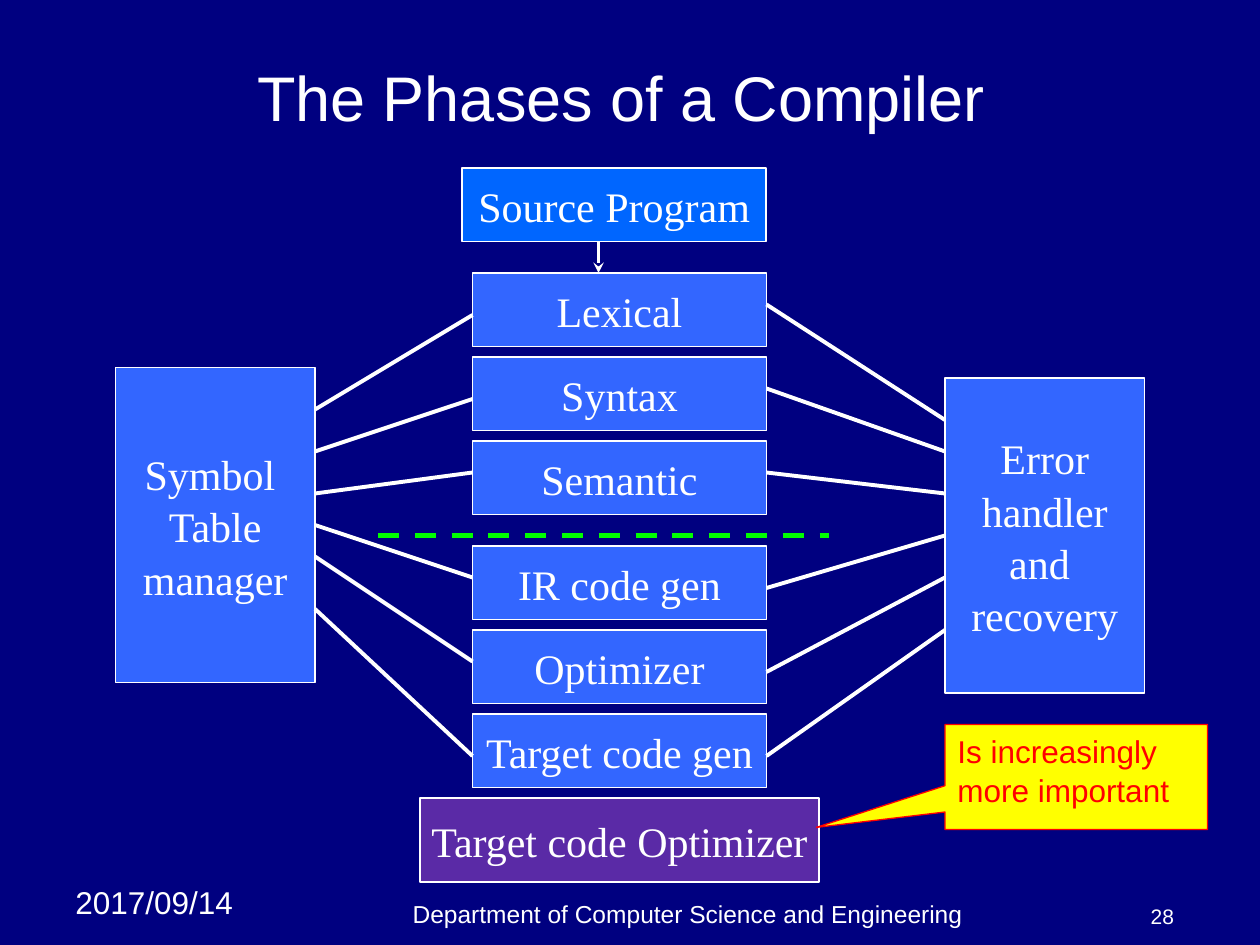
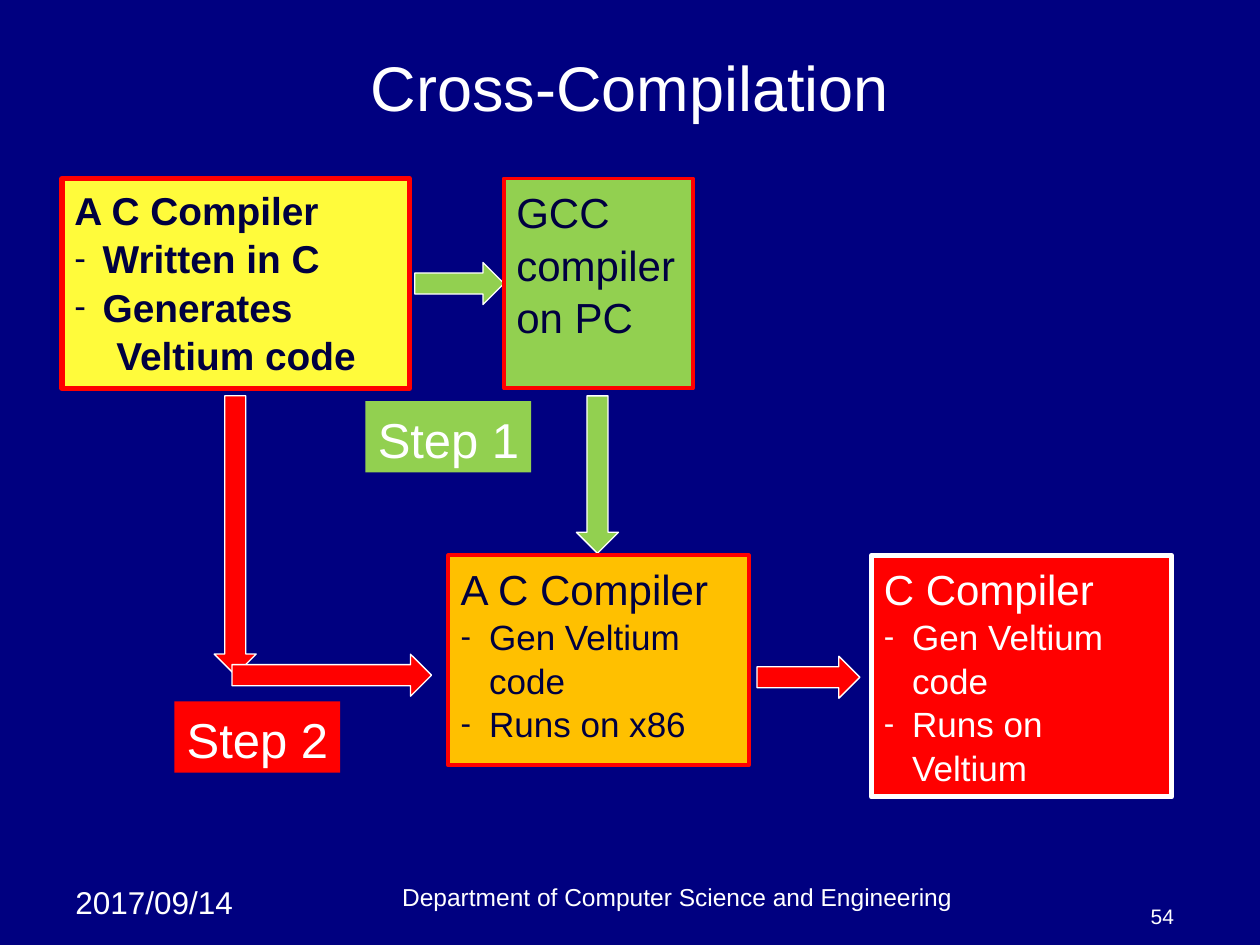
from collections import namedtuple

from lxml.etree import SubElement
from pptx import Presentation
from pptx.dml.color import RGBColor
from pptx.enum.dml import MSO_LINE_DASH_STYLE as Dash
from pptx.enum.shapes import MSO_CONNECTOR as Connector, MSO_SHAPE as Shape
from pptx.enum.text import MSO_ANCHOR as Anchor, MSO_AUTO_SIZE as AutoSize, PP_ALIGN as Align
from pptx.oxml.ns import qn
from pptx.util import Pt

EMU_PER_PX = 7620
TITLE_ONLY = 5
COLOURS = {
    "navy": "000080", "ink": "000040", "white": "FFFFFF", "blue": "3366FF",
    "bright blue": "0066FF", "purple": "5A2AA6", "lime": "00FF00",
    "yellow": "FFFF00", "lemon": "FFFB3B", "red": "FF0000",
    "green": "92D050", "orange": "FFC000",
}
SANS, SERIF = "Arial", "Times New Roman"
INDENTS = {"plain": (0, 0), "bullet": (27, -27), "inset": (40, 0)}
Line = namedtuple("Line", "text kind size", defaults=("plain", None))


def px(length):
    return length * EMU_PER_PX


def colour(name):
    return RGBColor.from_string(COLOURS[name])


def apply(target, formats):
    for name, value in formats.items():
        setattr(target, name, value)


class Painter:
    """Draws elements in the deck's style on the current page."""

    def __init__(self):
        self.deck = Presentation()
        apply(self.deck, {"slide_width": px(1200), "slide_height": px(900)})
        self.page = None

    def start_page(self, title, title_area, number, footer_area):
        self.page = self.deck.slides.add_slide(self.deck.slide_layouts[TITLE_ONLY])
        background = self.page.background.fill
        background.solid()
        background.fore_color.rgb = colour("navy")
        self.text((60, 834, 190, 48), "2017/09/14", size=18)
        self.text(footer_area, "Department of Computer Science and Engineering",
                  size=14, align=Align.CENTER, anchor=Anchor.BOTTOM)
        self.text((1050, 850, 80, 40), number, size=12,
                  align=Align.RIGHT, anchor=Anchor.BOTTOM)
        heading = self.page.shapes.title
        places = map(px, title_area)
        apply(heading, dict(zip(("left", "top", "width", "height"), places)))
        self.set_lines(heading, [title], size=36, align=Align.CENTER, anchor=Anchor.MIDDLE)

    def set_lines(self, box, lines, size=24, font=SANS, ink="white", bold=False,
                  align=Align.LEFT, anchor=Anchor.TOP, wrap=True):
        frame = box.text_frame
        apply(frame, {"word_wrap": wrap, "vertical_anchor": anchor,
                      "auto_size": AutoSize.NONE})
        for index, line in enumerate(lines):
            if isinstance(line, str):
                line = Line(line)
            para = frame.add_paragraph() if index else frame.paragraphs[0]
            apply(para, {"alignment": align, "line_spacing": 1.04})
            self.indent(para, line.kind, ink)
            span = para.add_run()
            span.text = line.text
            apply(span.font, {"size": Pt(line.size or size), "name": font, "bold": bold})
            span.font.color.rgb = colour(ink)

    def indent(self, para, kind, ink):
        if kind == "plain":
            return
        properties = para._p.get_or_add_pPr()
        margin, first = INDENTS[kind]
        properties.set("marL", str(px(margin)))
        properties.set("indent", str(px(first)))
        if kind == "bullet":
            tint = SubElement(properties, qn("a:buClr"))
            SubElement(tint, qn("a:srgbClr"), val=COLOURS[ink])
            SubElement(properties, qn("a:buSzPct"), val="90000")
            SubElement(properties, qn("a:buFont"), typeface=SANS)
            SubElement(properties, qn("a:buChar"), char="-")

    def text(self, area, words, **style):
        box = self.page.shapes.add_textbox(*map(px, area))
        self.set_lines(box, [words], **style)

    def shape(self, area, fill, border="white", weight=1.0, preset=Shape.RECTANGLE,
              lines=(), **style):
        box = self.page.shapes.add_shape(preset, *map(px, area))
        box.shadow.inherit = False
        box.fill.solid()
        box.fill.fore_color.rgb = colour(fill)
        if border:
            box.line.color.rgb = colour(border)
            box.line.width = Pt(weight)
        else:
            box.line.fill.background()
        if lines:
            self.set_lines(box, lines, **style)
        return box

    def phase_box(self, area, *lines, fill="blue"):
        return self.shape(area, fill, lines=lines, font=SERIF, align=Align.CENTER,
                          anchor=Anchor.MIDDLE, wrap=False)

    def block_arrow(self, area, fill, turn=0):
        arrow = self.shape(area, fill, weight=0.75, preset=Shape.RIGHT_ARROW)
        arrow.rotation = turn

    def step_label(self, area, words, fill):
        self.shape(area, fill, border=None, lines=[words], size=28, wrap=False)

    def line(self, start, end, ink="white", weight=2.25, dash=None, head=None, near=()):
        """Draw a line, joined to each near box whose side it meets in the middle."""
        start, end = tuple(map(px, start)), tuple(map(px, end))
        link = self.page.shapes.add_connector(Connector.STRAIGHT, *start, *end)
        link.line.color.rgb = colour(ink)
        apply(link.line, {"width": Pt(weight), "dash_style": dash})
        if head:
            SubElement(link.line._get_or_add_ln(), qn("a:tailEnd"), type=head)
        SubElement(link._element.spPr, qn("a:effectLst"))
        for box in near:
            middle = box.top + box.height // 2
            for site, side in ((1, box.left), (3, box.left + box.width)):
                if start == (side, middle):
                    link.begin_connect(box, site)
                if end == (side, middle):
                    link.end_connect(box, site)


def draw_phases(painter):
    painter.start_page("The Phases of a Compiler ", (90, 40, 1020, 100), "28",
                       (250, 850, 810, 40))
    phase_left, phase_width, pitch = 450, 280, 80
    phase_right = phase_left + phase_width
    groups = {260: ("Lexical", "Syntax", "Semantic"),
              520: ("IR code gen", "Optimizer", "Target code gen")}
    phases = [
        painter.phase_box((phase_left, top + row * pitch, phase_width, 70), name)
        for top, names in groups.items() for row, name in enumerate(names)
    ]
    painter.phase_box((440, 160, 290, 70), "Source Program", fill="bright blue")
    painter.line((360, 510), (790, 510), ink="lime", weight=3, dash=Dash.DASH)
    symbols = painter.phase_box((110, 350, 190, 300), "Symbol ", "Table", "manager")
    errors = painter.phase_box((900, 360, 190, 300),
                               "Error", "handler", "and ", "recovery")

    symbol_links = ((390, 300), (430, 380), (470, 450),
                    (500, 550), (530, 630), (580, 720))
    error_links = ((290, 400), (370, 430), (450, 470),
                   (560, 510), (640, 550), (720, 600))
    for links, left, right, manager in ((symbol_links, 300, phase_left, symbols),
                                        (error_links, phase_right, 900, errors)):
        for phase, (left_y, right_y) in zip(phases, links):
            painter.line((left, left_y), (right, right_y), near=(manager, phase))

    painter.phase_box((400, 760, 380, 80), "Target code Optimizer", fill="purple")
    painter.line((570, 230), (570, 260), weight=2, head="stealth")
    callout = painter.shape((900, 690, 250, 100), "yellow", "red", 0.75,
                            Shape.RECTANGULAR_CALLOUT,
                            ["Is increasingly more important"], size=18, ink="red")
    callout.adjustments[0], callout.adjustments[1] = -0.99, 0.48


def draw_cross_compilation(painter):
    painter.start_page("Cross-Compilation", (60, 36, 1080, 90), "54",
                       (240, 834, 810, 40))
    painter.shape((59, 170, 331, 200), "lemon", "red", 3, size=22.2, ink="ink", bold=True,
                  lines=["A C Compiler", Line("Written in C", "bullet"),
                         Line("Generates", "bullet"), Line("Veltium code", "inset")])
    painter.block_arrow((395, 250, 85, 40), "green")
    painter.block_arrow((494, 432, 150, 40), "green", turn=90)
    painter.shape((480, 170, 180, 200), "green", "red", 2.25, ink="ink",
                  lines=["GCC compiler", "on PC"])
    generates = Line("Gen Veltium code", "bullet", 20)
    painter.shape((427, 529, 286, 200), "orange", "red", 2.25, ink="ink",
                  lines=["A C Compiler", generates, Line("Runs on x86", "bullet", 20)])
    painter.block_arrow((91, 490, 266, 40), "red", turn=90)
    painter.block_arrow((221, 623, 190, 40), "red")
    painter.block_arrow((721, 625, 98, 40), "red")
    painter.shape((830, 529, 286, 230), "red", "white", 3,
                  lines=["C Compiler", generates, Line("Runs on Veltium", "bullet", 20)])
    painter.step_label((348, 382, 158, 68), "Step 1", "green")
    painter.step_label((166, 668, 158, 68), "Step 2", "red")


def main():
    painter = Painter()
    draw_phases(painter)
    draw_cross_compilation(painter)
    painter.deck.save("out.pptx")


if __name__ == "__main__":
    main()
